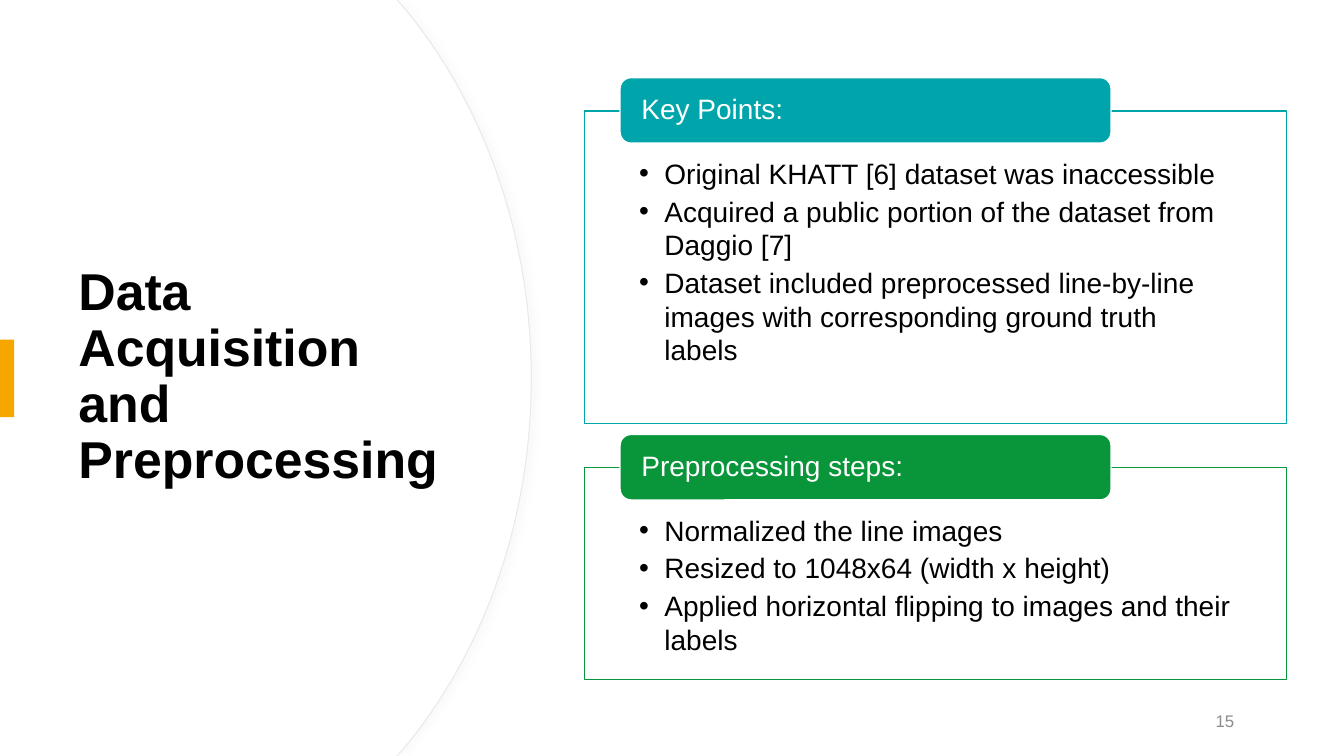
from dataclasses import dataclass

from lxml import etree
from pptx import Presentation
from pptx.dml.color import RGBColor
from pptx.enum.shapes import MSO_SHAPE
from pptx.enum.text import MSO_ANCHOR, PP_ALIGN
from pptx.oxml.ns import qn
from pptx.shapes.autoshape import Shape
from pptx.slide import Slide
from pptx.text.text import TextFrame, _Paragraph
from pptx.util import Inches, Pt

RECTANGLE = MSO_SHAPE.RECTANGLE
ROUNDED = MSO_SHAPE.ROUNDED_RECTANGLE
TOP, MIDDLE = MSO_ANCHOR.TOP, MSO_ANCHOR.MIDDLE
LEFT, RIGHT = PP_ALIGN.LEFT, PP_ALIGN.RIGHT

WHITE = RGBColor(0xFF, 0xFF, 0xFF)
BLACK = RGBColor(0x00, 0x00, 0x00)
GRAY = RGBColor(0x8C, 0x8C, 0x8C)
PALE = RGBColor(0xE9, 0xE9, 0xE9)
AMBER = RGBColor(0xF5, 0xA7, 0x00)
TEAL = RGBColor(0x00, 0xA5, 0xAB)
GREEN = RGBColor(0x09, 0x96, 0x3B)

FONT = "Arial"
ARC_STEPS = 40


@dataclass(frozen=True)
class Section:
    heading: str
    points: tuple[str, ...]
    color: RGBColor
    top: float
    height: float


SECTIONS = (
    Section(
        "Key Points:",
        (
            "Original KHATT [6] dataset was inaccessible",
            "Acquired a public portion of the dataset from Daggio [7]",
            "Dataset included preprocessed line-by-line images with corresponding ground truth labels",
        ),
        TEAL, 1.1, 3.1,
    ),
    Section(
        "Preprocessing steps:",
        (
            "Normalized the line images",
            "Resized to 1048x64 (width x height)",
            "Applied horizontal flipping to images and their labels",
        ),
        GREEN, 4.64, 2.1,
    ),
)


def style_paragraph(paragraph: _Paragraph, size: float, color: RGBColor,
                    bold: bool = False, align: PP_ALIGN = LEFT) -> None:
    paragraph.alignment = align
    paragraph.font.name = FONT
    paragraph.font.size = Pt(size)
    paragraph.font.bold = bold
    paragraph.font.color.rgb = color


def set_frame(frame: TextFrame, anchor: MSO_ANCHOR, side: float = 0.1,
              top: float = 0.05, bottom: float = 0.05) -> None:
    frame.word_wrap = True
    frame.vertical_anchor = anchor
    frame.margin_left = frame.margin_right = Inches(side)
    frame.margin_top, frame.margin_bottom = Inches(top), Inches(bottom)


def add_block(slide: Slide, kind: MSO_SHAPE, left: float, top: float, width: float,
              height: float, fill: RGBColor, line: RGBColor) -> Shape:
    block = slide.shapes.add_shape(
        kind, Inches(left), Inches(top), Inches(width), Inches(height))
    block.shadow.inherit = False
    block.fill.solid()
    block.fill.fore_color.rgb = fill
    block.line.color.rgb = line
    block.line.width = Pt(1)
    return block


def add_label(slide: Slide, text: str, left: float, top: float, width: float,
              height: float) -> _Paragraph:
    label = slide.shapes.add_textbox(
        Inches(left), Inches(top), Inches(width), Inches(height))
    set_frame(label.text_frame, MIDDLE)
    paragraph = label.text_frame.paragraphs[0]
    paragraph.text = text
    return paragraph


def bezier(start: float, first: float, second: float, end: float, t: float) -> float:
    u = 1 - t
    return u**3 * start + 3 * u**2 * t * first + 3 * u * t**2 * second + t**3 * end


def add_curved_panel(slide: Slide) -> None:
    upper = [
        (bezier(4.01, 4.79, 5.27, 5.27, step / ARC_STEPS),
         bezier(0.08, 1.02, 2.32, 3.75, step / ARC_STEPS))
        for step in range(ARC_STEPS + 1)
    ]
    lower = [(x, 7.5 - y) for x, y in reversed(upper[:-1])]
    outline = [*upper, *lower, (3.94, 7.5)]
    builder = slide.shapes.build_freeform(Inches(3.94), 0)
    builder.add_line_segments([(Inches(x), Inches(y)) for x, y in outline], close=False)
    panel = builder.convert_to_shape()
    panel.fill.solid()
    panel.fill.fore_color.rgb = WHITE
    panel.line.color.rgb = PALE
    panel.line.width = Pt(0.75)
    panel.shadow.inherit = False
    effects = panel.element.spPr.find(qn("a:effectLst"))
    shadow = etree.SubElement(
        effects, qn("a:outerShdw"), blurRad=str(Pt(4)), dist=str(Pt(3)), dir="0")
    tint = etree.SubElement(shadow, qn("a:srgbClr"), val="D9D9D9")
    etree.SubElement(tint, qn("a:alpha"), val="12000")


def add_bullet(paragraph: _Paragraph) -> None:
    properties = paragraph._p.get_or_add_pPr()
    properties.set("marL", str(Inches(0.25)))
    properties.set("indent", str(Inches(-0.25)))
    etree.SubElement(properties, qn("a:buFont"), typeface=FONT)
    etree.SubElement(properties, qn("a:buChar"), char="•")


def add_section(slide: Slide, section: Section) -> None:
    body = add_block(slide, RECTANGLE, 5.8, section.top, 6.96, section.height,
                     WHITE, section.color)
    frame = body.text_frame
    set_frame(frame, TOP, side=0.54, top=0.45, bottom=0.16)
    for index, point in enumerate(section.points):
        paragraph = frame.add_paragraph() if index else frame.paragraphs[0]
        paragraph.text = point
        add_bullet(paragraph)
        paragraph.space_after = Pt(3)
        style_paragraph(paragraph, 20, BLACK)

    tab = add_block(slide, ROUNDED, 6.15, section.top - 0.33, 4.87, 0.65,
                    section.color, WHITE)
    set_frame(tab.text_frame, MIDDLE, side=0.18, top=0, bottom=0)
    heading = tab.text_frame.paragraphs[0]
    heading.text = section.heading
    heading.line_spacing = 0.9
    style_paragraph(heading, 20, WHITE)


def main() -> None:
    presentation = Presentation()
    presentation.slide_width = Inches(13.33)
    presentation.slide_height = Inches(7.5)
    slide = presentation.slides.add_slide(presentation.slide_layouts[6])

    add_curved_panel(slide)
    title = add_label(slide, "Data Acquisition and Preprocessing", 0.68, 1.27, 3.94, 4.95)
    title.line_spacing = 0.9
    style_paragraph(title, 37, BLACK, bold=True)

    accent = add_block(slide, RECTANGLE, 0, 3.37, 0.14, 0.77, AMBER, AMBER)
    accent.line.fill.background()

    for section in SECTIONS:
        add_section(slide, section)

    page_number = add_label(slide, "15", 9.34, 6.95, 3, 0.4)
    style_paragraph(page_number, 12, GRAY, align=RIGHT)

    presentation.save("out.pptx")


if __name__ == "__main__":
    main()
